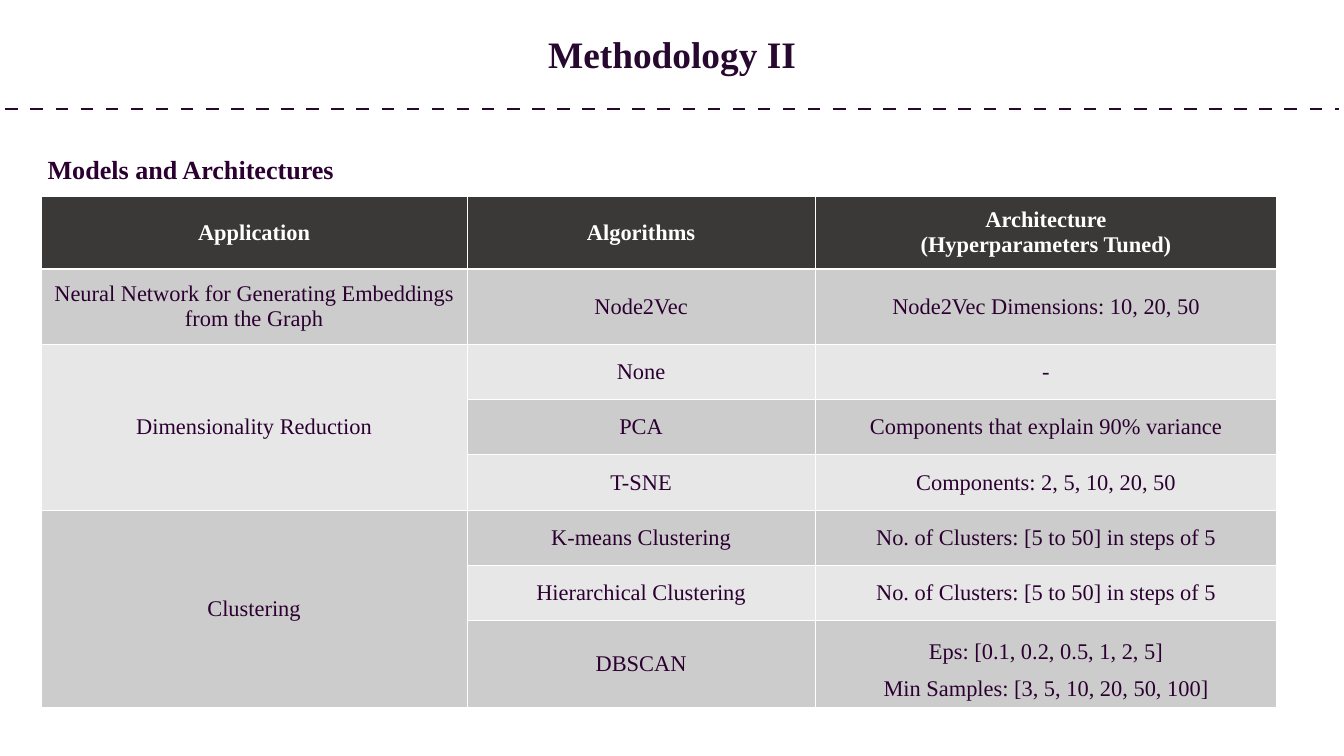
from lxml.etree import SubElement
from pptx import Presentation
from pptx.dml.color import RGBColor
from pptx.enum.shapes import MSO_CONNECTOR
from pptx.enum.text import MSO_ANCHOR, MSO_AUTO_SIZE, PP_ALIGN
from pptx.oxml import parse_xml
from pptx.oxml.ns import nsdecls, qn
from pptx.util import Inches, Pt

PLUM = RGBColor(0x27, 0x09, 0x2F)
PURPLE = RGBColor(0x2B, 0x00, 0x30)
WHITE = RGBColor(0xFF, 0xFF, 0xFF)
CHARCOAL = RGBColor(0x3B, 0x38, 0x38)
DARK_BAND = RGBColor(0xCD, 0xCC, 0xCD)
LIGHT_BAND = RGBColor(0xE8, 0xE7, 0xE8)


def write_text(frame, text, size=24, color=PURPLE, bold=False, align=PP_ALIGN.CENTER, spacing=None):
    frame.word_wrap = True
    for index, line in enumerate(text.split("\n")):
        para = frame.add_paragraph() if index else frame.paragraphs[0]
        para.alignment = align
        para.line_spacing = spacing
        span = para.add_run()
        span.text = line
        span.font.name = "Times New Roman"
        span.font.size = Pt(size)
        span.font.bold = bold
        span.font.color.rgb = color


def set_borders(cell, bottom=1):
    properties = cell._tc.get_or_add_tcPr()
    for side, width in (("L", 1), ("R", 1), ("T", 1), ("B", bottom)):
        properties.append(parse_xml(
            f'<a:ln{side} {nsdecls("a")} w="{Pt(width)}"><a:solidFill>'
            f'<a:srgbClr val="{WHITE}"/></a:solidFill></a:ln{side}>'))


deck = Presentation()
deck.slide_width = Inches(20)
deck.slide_height = Inches(11.25)
page = deck.slides.add_slide(deck.slide_layouts[5])

divider = page.shapes.add_connector(
    MSO_CONNECTOR.STRAIGHT, Inches(0.08), Inches(1.62), Inches(19.92), Inches(1.62))
divider.line.color.rgb = PLUM
divider.line.width = Pt(2.25)
dashes = SubElement(divider.line._get_or_add_ln(), qn("a:custDash"))
SubElement(dashes, qn("a:ds"), d="600000", sp="600000")
SubElement(divider._element.spPr, qn("a:effectLst"))

title = page.shapes.title
title.left, title.top = Inches(0.61), Inches(0.59)
title.width, title.height = Inches(18.78), Inches(0.58)
frame = title.text_frame
frame.margin_left = frame.margin_right = frame.margin_top = frame.margin_bottom = Inches(0.04)
frame.vertical_anchor = MSO_ANCHOR.MIDDLE
frame.auto_size = MSO_AUTO_SIZE.SHAPE_TO_FIT_TEXT
write_text(frame, "Methodology II", size=40, color=PLUM, bold=True, spacing=Pt(35))

heading = page.shapes.add_textbox(Inches(0.61), Inches(1.77), Inches(14.96), Inches(0.9))
heading.text_frame.auto_size = MSO_AUTO_SIZE.SHAPE_TO_FIT_TEXT
write_text(heading.text_frame, "Models and Architectures", size=28, bold=True,
           align=PP_ALIGN.LEFT, spacing=2.0)

rows = [
    ("Application", "Algorithms", "Architecture\n(Hyperparameters Tuned)"),
    ("Neural Network for Generating Embeddings from the Graph", "Node2Vec",
     "Node2Vec Dimensions: 10, 20, 50"),
    ("Dimensionality Reduction", "None", "-"),
    ("", "PCA", "Components that explain 90% variance"),
    ("", "T-SNE", "Components: 2, 5, 10, 20, 50"),
    ("Clustering", "K-means Clustering", "No. of Clusters: [5 to 50] in steps of 5"),
    ("", "Hierarchical Clustering", "No. of Clusters: [5 to 50] in steps of 5"),
    ("", "DBSCAN", "Eps: [0.1, 0.2, 0.5, 1, 2, 5]\nMin Samples: [3, 5, 10, 20, 50, 100]"),
]
column_widths = [6.34, 5.18, 6.87]
row_heights = [1.08, 1.13] + [0.82] * 5 + [1.08]
table = page.shapes.add_table(
    len(rows), len(column_widths), Inches(0.61), Inches(2.92),
    Inches(sum(column_widths)), Inches(sum(row_heights))).table
for column, width in zip(table.columns, column_widths):
    column.width = Inches(width)
for row, height in zip(table.rows, row_heights):
    row.height = Inches(height)

for row_index, texts in enumerate(rows):
    is_header = row_index == 0
    band = CHARCOAL if is_header else DARK_BAND if row_index % 2 else LIGHT_BAND
    for column_index, text in enumerate(texts):
        cell = table.cell(row_index, column_index)
        set_borders(cell, bottom=3 if is_header else 1)
        cell.fill.solid()
        cell.fill.fore_color.rgb = band
        cell.vertical_anchor = MSO_ANCHOR.MIDDLE
        if text:
            write_text(cell.text_frame, text, color=WHITE if is_header else PURPLE, bold=is_header,
                       spacing=1.5 if text.startswith("Eps") else None)

for first_row in (2, 5):
    table.cell(first_row, 0).merge(table.cell(first_row + 2, 0))

deck.save("out.pptx")
